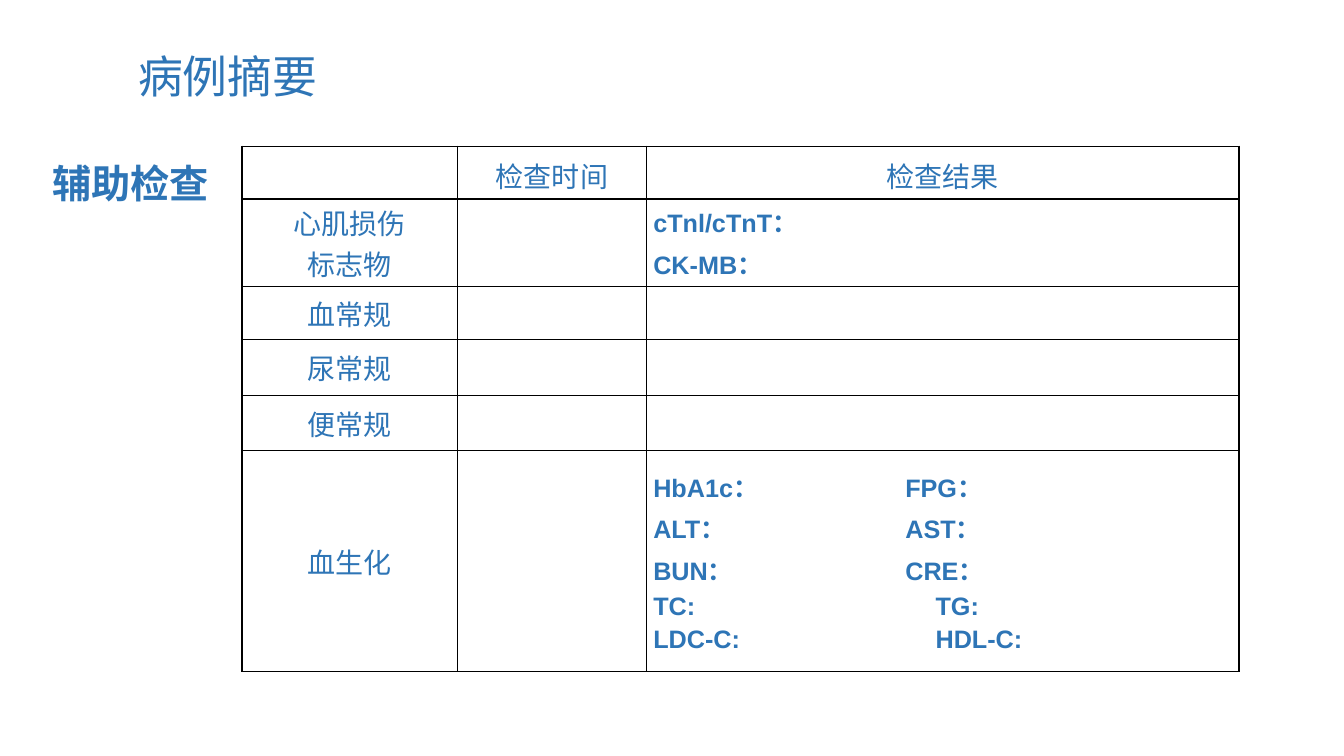
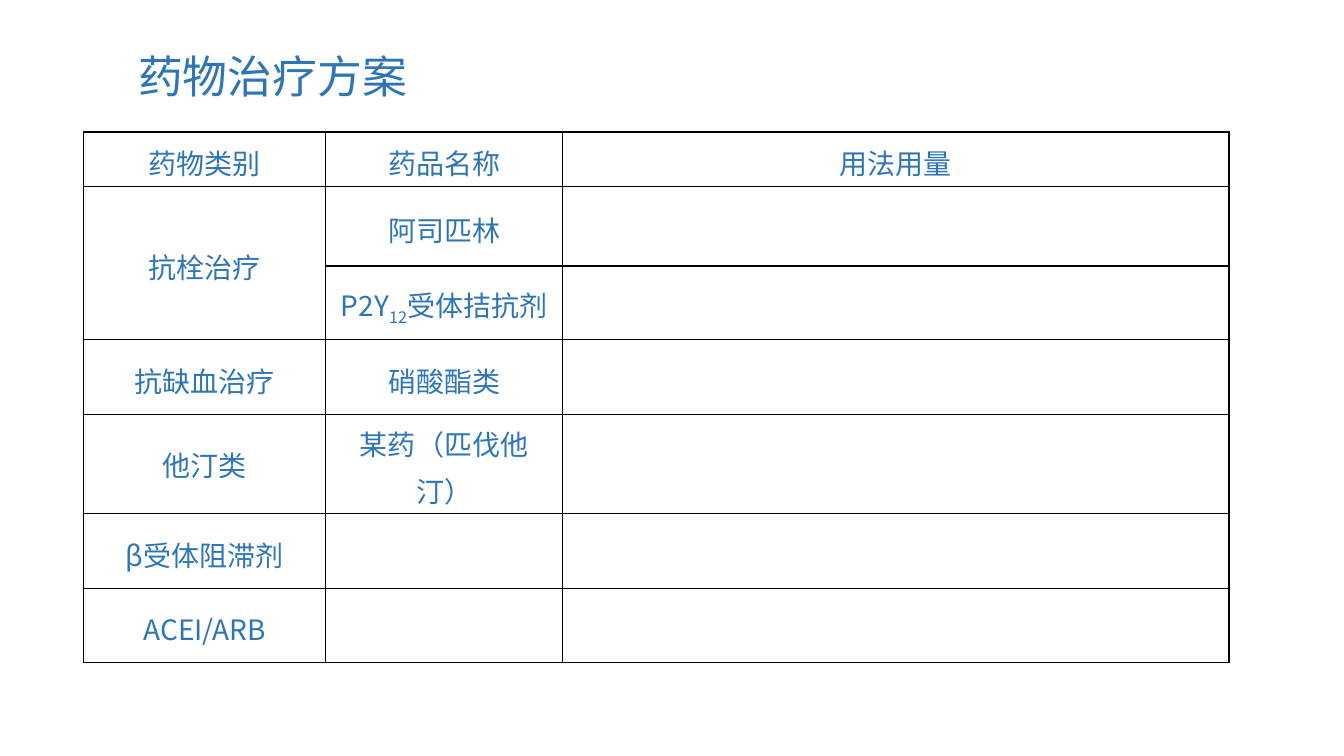
from dataclasses import dataclass

from lxml.etree import SubElement
from pptx import Presentation
from pptx.dml.color import RGBColor
from pptx.enum.text import MSO_ANCHOR, MSO_AUTO_SIZE, PP_ALIGN
from pptx.oxml import parse_xml
from pptx.oxml.ns import nsdecls, qn
from pptx.util import Inches, Pt

BLUE = "2E75B6"
BLACK = "000000"
HAN = "Noto Sans CJK SC"
LATIN = "Arial"


@dataclass(frozen=True)
class Box:
    """Place and size in inches."""
    left: float
    top: float
    width: float
    height: float

    def lengths(self) -> list:
        """Return the four values as lengths."""
        return [Inches(v) for v in (self.left, self.top, self.width, self.height)]


@dataclass(frozen=True)
class Entry:
    """Table text; bars mark off subscripts, tabs give lab columns."""
    text: str = ""
    gap: float = 1.15
    lab: bool = False


@dataclass(frozen=True)
class Grid:
    """A table with its sizes, entries and merged cells."""
    box: Box
    cols: list
    rows: list
    cells: list
    spans: tuple = ()


TITLE = Box(1.27, 0.43, 7.13, 0.91)
BODY = Box(0.42, 1.53, 12.19, 4.84)
BLANK = Entry()

EXAMS = Grid(
    Box(2.4, 1.45, 9.89, 5.02),
    [2.14, 1.87, 5.88],
    [0.46, 0.74, 0.53, 0.55, 0.55, 2.19],
    [
        [BLANK, Entry("检查时间"), Entry("检查结果")],
        [Entry("心肌损伤\n标志物", 1), BLANK, Entry("cTnl/cTnT：\nCK-MB：", 1, True)],
        *[[Entry(name, 1), BLANK, BLANK] for name in ("血常规", "尿常规", "便常规")],
        [Entry("血生化", 1), BLANK, Entry(
            "HbA1c：\tFPG：\nALT：\tAST：\nBUN：\tCRE：\nTC:\tTG:\nLDC-C:\tHDL-C:", 1, True)],
    ],
)

DRUGS = Grid(
    Box(0.83, 1.31, 11.36, 5.02),
    [2.4, 2.35, 6.61],
    [0.54, 0.79, 0.73] + [0.74] * 4,
    [
        [Entry("药物类别"), Entry("药品名称"), Entry("用法用量")],
        [Entry("抗栓治疗"), Entry("阿司匹林"), BLANK],
        [BLANK, Entry("P2Y|12|受体拮抗剂"), BLANK],
        [Entry("抗缺血治疗"), Entry("硝酸酯类"), BLANK],
        [Entry("他汀类", 1), Entry("某药（匹伐他汀）"), BLANK],
        [Entry("β受体阻滞剂"), BLANK, BLANK],
        [Entry("ACEI/ARB"), BLANK, BLANK],
    ],
    (((1, 0), (2, 0)),),
)


def color(value: str) -> RGBColor:
    """Turn a hex string into a colour."""
    return RGBColor.from_string(value)


def style(run, size: float, bold: bool = False, face: str = HAN) -> None:
    """Format one run in the deck's blue."""
    font = run.font
    font.size, font.bold = Pt(size), bold
    font.color.rgb = color(BLUE)
    font.name = face
    SubElement(run._r.get_or_add_rPr(), qn("a:ea")).set("typeface", HAN)


def place(shape, box: Box, text: str, size: float, bold: bool = False) -> None:
    """Move a placeholder and fill it with plain text."""
    shape.left, shape.top, shape.width, shape.height = box.lengths()
    frame = shape.text_frame
    frame.text = text
    frame.word_wrap = True
    frame.auto_size = MSO_AUTO_SIZE.NONE
    frame.vertical_anchor = MSO_ANCHOR.TOP
    for para in frame.paragraphs:
        para.alignment = PP_ALIGN.LEFT
        for run in para.runs:
            style(run, size, bold)


def plain(para) -> None:
    """Drop the bullet and indent of a paragraph."""
    props = para._p.get_or_add_pPr()
    props.set("marL", "0")
    props.set("indent", "0")
    SubElement(props, qn("a:buNone"))


def stop(para, pos: float) -> None:
    """Set one left tab stop."""
    tabs = SubElement(para._p.get_or_add_pPr(), qn("a:tabLst"))
    SubElement(tabs, qn("a:tab"), pos=str(Inches(pos)), algn="l")


def border(cell) -> None:
    """Draw thin black lines on all sides of a cell."""
    props = cell._tc.get_or_add_tcPr()
    for spot, side in enumerate("LRTB"):
        props.insert(spot, parse_xml(
            f'<a:ln{side} {nsdecls("a")} w="{Pt(1)}"><a:solidFill>'
            f'<a:srgbClr val="{BLACK}"/></a:solidFill></a:ln{side}>'))


def write(cell, entry: Entry) -> None:
    """Fill and format one table cell."""
    cell.fill.background()
    border(cell)
    cell.vertical_anchor = MSO_ANCHOR.MIDDLE
    cell.margin_left = cell.margin_right = Inches(0.07)
    cell.margin_top = cell.margin_bottom = Inches(0.03)
    if not entry.text:
        return
    parts = entry.text.split("|")
    cell.text_frame.text = parts[0]
    for para in cell.text_frame.paragraphs:
        para.line_spacing = entry.gap
        para.alignment = PP_ALIGN.LEFT if entry.lab else PP_ALIGN.CENTER
        for part in parts[1:]:
            para.add_run().text = part
        if entry.lab:
            para.space_before = Pt(3.6)
            if "\t" in para.text:
                stop(para, 2.5 if "：" in para.text else 2.8)
        for rank, run in enumerate(para.runs):
            if entry.lab:
                style(run, 18, True, LATIN)
            else:
                style(run, 20)
            if rank % 2:
                run.font._rPr.set("baseline", "-25000")


def draw(slide, grid: Grid) -> None:
    """Add a bordered table to a slide."""
    frame = slide.shapes.add_table(len(grid.rows), len(grid.cols), *grid.box.lengths())
    table = frame.table
    table.first_row = table.horz_banding = False
    for col, width in zip(table.columns, grid.cols):
        col.width = Inches(width)
    for row, height, line in zip(table.rows, grid.rows, grid.cells):
        row.height = Inches(height)
        for cell, entry in zip(row.cells, line):
            write(cell, entry)
    for first, last in grid.spans:
        table.cell(*first).merge(table.cell(*last))


def build(deck, title: str, grid: Grid, label: str = "") -> None:
    """Add a slide with a title, a table and an optional label."""
    slide = deck.slides.add_slide(deck.slide_layouts[1 if label else 5])
    place(slide.shapes.title, TITLE, title, 32)
    if label:
        body = slide.placeholders[1]
        place(body, BODY, label, 28, True)
        plain(body.text_frame.paragraphs[0])
    draw(slide, grid)


def main() -> None:
    """Build and save the deck."""
    deck = Presentation()
    deck.slide_width, deck.slide_height = Inches(13.33), Inches(7.5)
    build(deck, "病例摘要", EXAMS, "辅助检查")
    build(deck, "药物治疗方案", DRUGS)
    deck.save("out.pptx")


main()
